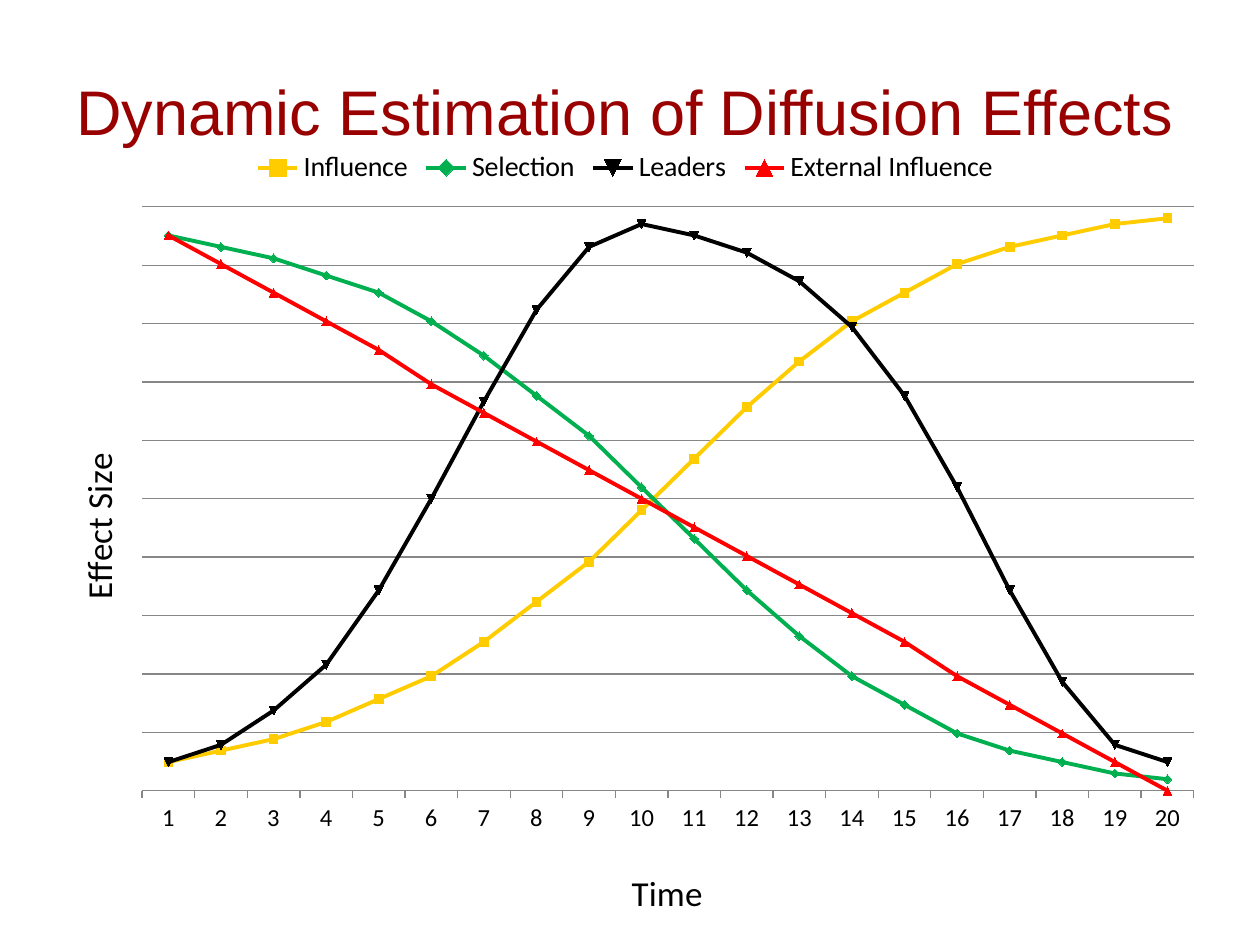
from dataclasses import dataclass

from lxml import etree
from pptx import Presentation
from pptx import util as u
from pptx.chart.data import CategoryChartData
from pptx.dml.color import RGBColor
from pptx.enum import chart as charts, text
from pptx.oxml.ns import qn

COLORS = {
    "title": "990000", "text": "000000", "grid": "878787",
    "influence": "FFCC00", "selection": "00B050",
    "leaders": "000000", "external": "FF0000",
}


@dataclass
class Effect:
    name: str
    color: str
    values: list[int]


EFFECTS = [
    Effect("Influence", "influence",
           [5, 7, 9, 12, 16, 20, 26, 33, 40, 49, 58, 67, 75, 82, 87, 92, 95, 97, 99, 100]),
    Effect("Selection", "selection",
           [97, 95, 93, 90, 87, 82, 76, 69, 62, 53, 44, 35, 27, 20, 15, 10, 7, 5, 3, 2]),
    Effect("Leaders", "leaders",
           [5, 8, 14, 22, 35, 51, 68, 84, 95, 99, 97, 94, 89, 81, 69, 53, 35, 19, 8, 5]),
    Effect("External Influence", "external",
           [97, 92, 87, 82, 77, 71, 66, 61, 56, 51, 46, 41, 36, 31, 26, 20, 15, 10, 5, 0]),
]
MAXIMUM = 102


def rgb(name: str) -> RGBColor:
    return RGBColor.from_string(COLORS[name])


def style_font(font, size: float, color: str = "text", family: str = "Calibri") -> None:
    font.size, font.name, font.bold = u.Pt(size), family, False
    font.color.rgb = rgb(color)


def style_line(line, color: str, width: float) -> None:
    line.color.rgb = rgb(color)
    line.width = u.Pt(width)


def make_layout(**settings) -> etree.Element:
    """Manual chart layout; lengths are fractions of the chart area."""
    layout = etree.Element(qn("c:layout"))
    manual = etree.SubElement(layout, qn("c:manualLayout"))
    for tag, value in settings.items():
        etree.SubElement(manual, qn(f"c:{tag}")).set("val", str(value))
    return layout


def add_axis_title(axis, caption: str, x: float, y: float) -> None:
    para = axis.axis_title.text_frame.paragraphs[0]
    para.text = caption
    style_font(para.font, 20)
    title = para._p.getparent().getparent().getparent()
    for old in title.findall(qn("c:layout")):
        title.remove(old)
    title.find(qn("c:tx")).addnext(make_layout(xMode="edge", yMode="edge", x=x, y=y))


def add_effect_chart(page, effects: list[Effect]):
    data = CategoryChartData(number_format="0.00")
    data.categories = [str(step + 1) for step in range(len(effects[0].values))]
    for effect in effects:
        data.add_series(effect.name, effect.values)
    chart = page.shapes.add_chart(
        charts.XL_CHART_TYPE.LINE_MARKERS, u.Cm(0.64), u.Cm(2.74),
        u.Cm(23.93), u.Cm(16.08), data).chart
    chart.has_title = False
    style_font(chart.font, 14)

    # Series
    plot = chart.plots[0]
    plot.vary_by_categories = False
    for series, effect in zip(plot.series, effects):
        series.smooth = False
        style_line(series.format.line, effect.color, 2.25)
        marker = series.marker
        marker.style, marker.size = charts.XL_MARKER_STYLE.AUTOMATIC, 5
        marker.format.fill.solid()
        marker.format.fill.fore_color.rgb = rgb(effect.color)
        style_line(marker.format.line, effect.color, 0.75)

    # Legend
    chart.has_legend = True
    chart.legend.position = charts.XL_LEGEND_POSITION.TOP
    chart.legend.include_in_layout = False
    style_font(chart.legend.font, 16)

    # Axes
    time, size = chart.category_axis, chart.value_axis
    time.major_tick_mark = charts.XL_TICK_MARK.OUTSIDE
    style_line(time.format.line, "grid", 0.75)
    add_axis_title(time, "Time", 0.5, 0.91)
    size.minimum_scale, size.maximum_scale = 0, MAXIMUM
    size.major_unit = MAXIMUM / 10
    size.visible = False
    style_line(size.major_gridlines.format.line, "grid", 0.75)
    add_axis_title(size, "Effect Size", 0.03, 0.39)

    # Plot area
    area = chart._chartSpace.chart.plotArea
    for old in area.findall(qn("c:layout")):
        area.remove(old)
    area.insert(0, make_layout(layoutTarget="inner", xMode="edge", yMode="edge",
                               x=0.093, y=0.089, w=0.886, h=0.732))


def main() -> None:
    deck = Presentation()
    deck.slide_width, deck.slide_height = u.Cm(25.4), u.Cm(19.05)
    page = deck.slides.add_slide(deck.slide_layouts[5])
    add_effect_chart(page, EFFECTS)

    # Title, in front of the chart
    box = page.shapes.title
    box.left, box.top, box.width, box.height = map(u.Cm, (0.43, 0.64, 24.33, 3.18))
    frame = box.text_frame
    frame.vertical_anchor = text.MSO_ANCHOR.MIDDLE
    para = frame.paragraphs[0]
    para.text = "Dynamic Estimation of Diffusion Effects"
    para.alignment = text.PP_ALIGN.CENTER
    style_font(para.font, 36, "title", "Arial")
    page.shapes._spTree.append(box._element)

    deck.save("out.pptx")


if __name__ == "__main__":
    main()
